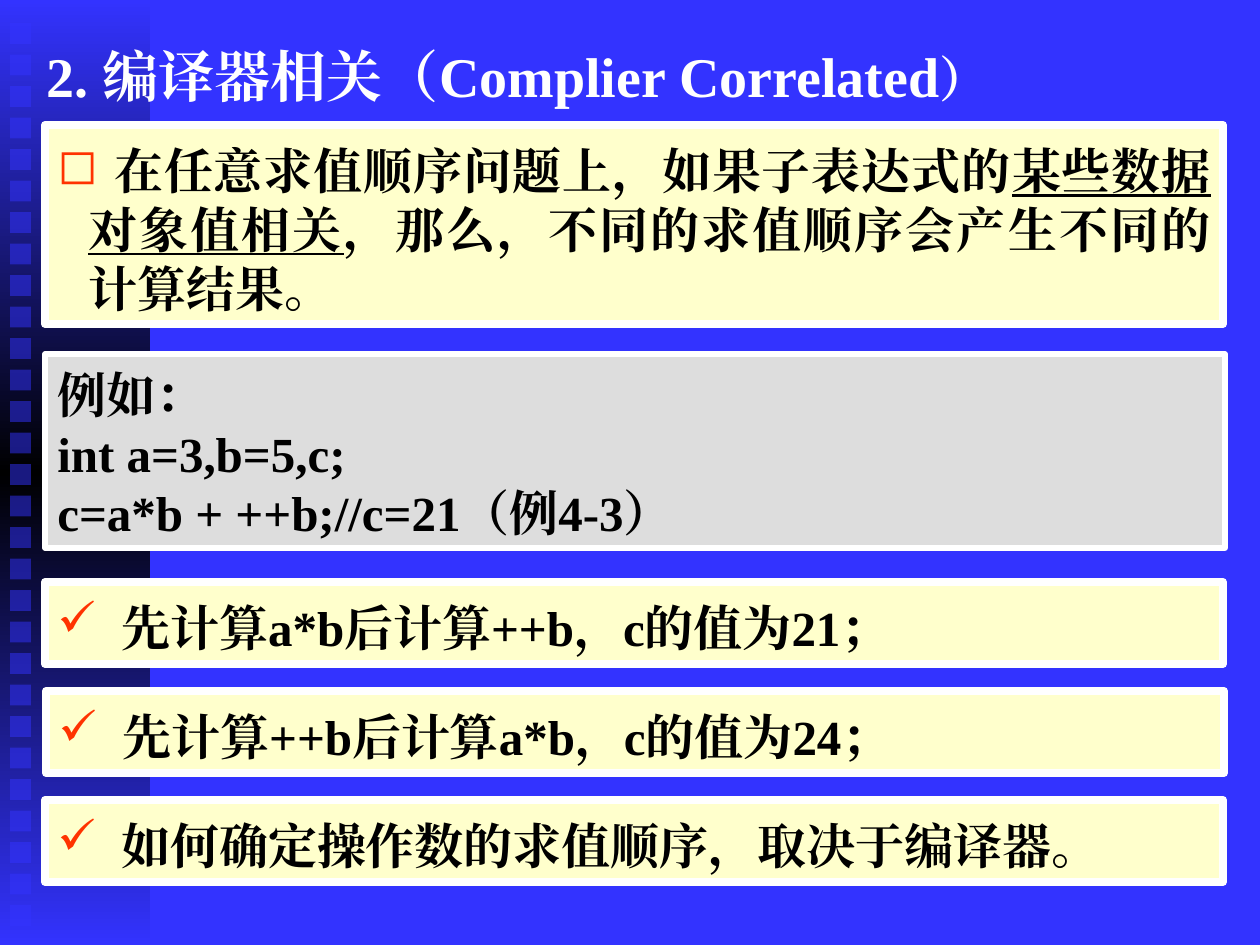
from lxml import etree
from pptx import Presentation, util as u
from pptx.dml.color import RGBColor
from pptx.enum import shapes, text
from pptx.oxml import ns

# Content
FONT = "Times New Roman"
COLORS = {"blue": "3333FF", "black": "000000", "white": "FFFFFF",
          "cream": "FFFFCC", "gray": "DDDDDD", "red": "FF3300"}
TITLE = [("2. 编译器相关（Complier Correlated", 32), ("）", 28)]
RULE = [("\t在任意求值顺序问题上，如果子表达式的", False),
        ("某些数据对象值相关", True),
        ("，那么，不同的求值顺序会产生不同的计算结果。", False)]
EXAMPLE = ["例如：", "int a=3,b=5,c;", "c=a*b + ++b;//c=21（例4-3）"]
POINTS = ["先计算a*b后计算++b，c的值为21；",
          "先计算++b后计算a*b，c的值为24；",
          "如何确定操作数的求值顺序，取决于编译器。"]

# Places in px
W, H = 1260, 945
STRIP_W = 150
SQUARE, SQUARE_X, SQUARE_Y, SQUARE_STEP, SQUARES = 21, 10, 23, 31.5, 29
BOX_X, BOX_W = 45, 1178
POINT_Y, POINT_H, POINT_STEP = 582, 82, 109
RULE_INDENT, POINT_INDENT, FIRST_LINE = 31, 64, 25


def px(n):
    return u.Emu(round(n * 914400 / 126))


def rgb(name):
    return RGBColor.from_string(COLORS[name])


def add(parent, tag, **attrs):
    el = etree.SubElement(parent, ns.qn("a:" + tag))
    for key, value in attrs.items():
        el.set(key, str(value))
    return el


def add_rect(s, x, y, w, h, color, line_pt=0):
    sp = s.shapes.add_shape(shapes.MSO_SHAPE.RECTANGLE, px(x), px(y), px(w), px(h))
    sp.shadow.inherit = False
    sp.fill.solid()
    sp.fill.fore_color.rgb = rgb(color)
    if line_pt:
        sp.line.color.rgb = rgb("white")
        sp.line.width = u.Pt(line_pt)
    else:
        sp.line.fill.background()
    return sp


def set_font(p, color, size=None):
    p.font.name, p.font.bold = FONT, True
    p.font.color.rgb = rgb(color)
    if size:
        p.font.size = u.Pt(size)
    add(p._p.pPr.find(ns.qn("a:defRPr")), "ea", typeface=FONT)


def set_bullet(p, char, indent, tabs=()):
    pPr = p._p.get_or_add_pPr()
    pPr.set("marL", str(px(indent)))
    pPr.set("indent", str(-px(indent)))
    add(add(pPr, "buClr"), "srgbClr", val=COLORS["red"])
    add(pPr, "buChar", char=char)
    if tabs:
        stops = add(pPr, "tabLst")
        for pos in tabs:
            add(stops, "tab", pos=px(pos), algn="l")


def add_box(s, x, y, w, h, color, line_pt, top, paragraphs, bullet=None):
    """Each paragraph is a list of (text, underlined) runs."""
    sp = add_rect(s, x, y, w, h, color, line_pt)
    tf = sp.text_frame
    tf.word_wrap = True
    tf.vertical_anchor = text.MSO_ANCHOR.TOP
    tf.margin_top = px(top)
    for i, runs in enumerate(paragraphs):
        p = tf.add_paragraph() if i else tf.paragraphs[0]
        if bullet:
            set_bullet(p, *bullet)
        p.alignment = text.PP_ALIGN.JUSTIFY
        p.line_spacing = u.Pt(33.5)
        set_font(p, "black", 28)
        for words, underlined in runs:
            r = p.add_run()
            r.text = words
            if underlined:
                r.font.underline = True


prs = Presentation()
prs.slide_width, prs.slide_height = px(W), px(H)
s = prs.slides.add_slide(prs.slide_layouts[5])
s.background.fill.solid()
s.background.fill.fore_color.rgb = rgb("blue")

# Gradient strip with a column of squares
strip = add_rect(s, 0, 0, STRIP_W, H, "blue")
strip.fill.gradient()
strip.fill.gradient_angle = 90
stops = strip._element.spPr.find(".//" + ns.qn("a:gsLst"))
for stop in list(stops):
    stops.remove(stop)
for pos, name in ((0, "blue"), (50000, "black"), (100000, "blue")):
    add(add(stops, "gs", pos=pos), "srgbClr", val=COLORS[name])
for i in range(SQUARES):
    sp = add_rect(s, SQUARE_X, SQUARE_Y + i * SQUARE_STEP, SQUARE, SQUARE, "blue")
    add(sp._element.spPr.find(".//" + ns.qn("a:srgbClr")), "alpha", val=50000)

# Title, in front of the strip
title = s.shapes.title
title.left, title.top, title.width, title.height = px(34), px(16), px(1171), px(118)
s.shapes._spTree.append(title._element)
tf = title.text_frame
tf.auto_size = text.MSO_AUTO_SIZE.NONE
tf.vertical_anchor = text.MSO_ANCHOR.MIDDLE
p = tf.paragraphs[0]
p.alignment = text.PP_ALIGN.LEFT
set_font(p, "white")
for words, size in TITLE:
    r = p.add_run()
    r.text = words
    r.font.size = u.Pt(size)

# Rule and example
add_box(s, BOX_X, 125, BOX_W, 199, "cream", 4.5, 16, [RULE],
        ("◻", RULE_INDENT, (FIRST_LINE, RULE_INDENT + FIRST_LINE)))
add_box(s, BOX_X, 354, BOX_W + 2, 194, "gray", 3, 11,
        [[(line, False)] for line in EXAMPLE])

# Checked points, the middle one slightly to the right
for i, words in enumerate(POINTS):
    add_box(s, BOX_X + i % 2, POINT_Y + i * POINT_STEP, BOX_W, POINT_H, "cream", 4.5,
            16, [[(words, False)]], ("✓", POINT_INDENT))

prs.save("out.pptx")
